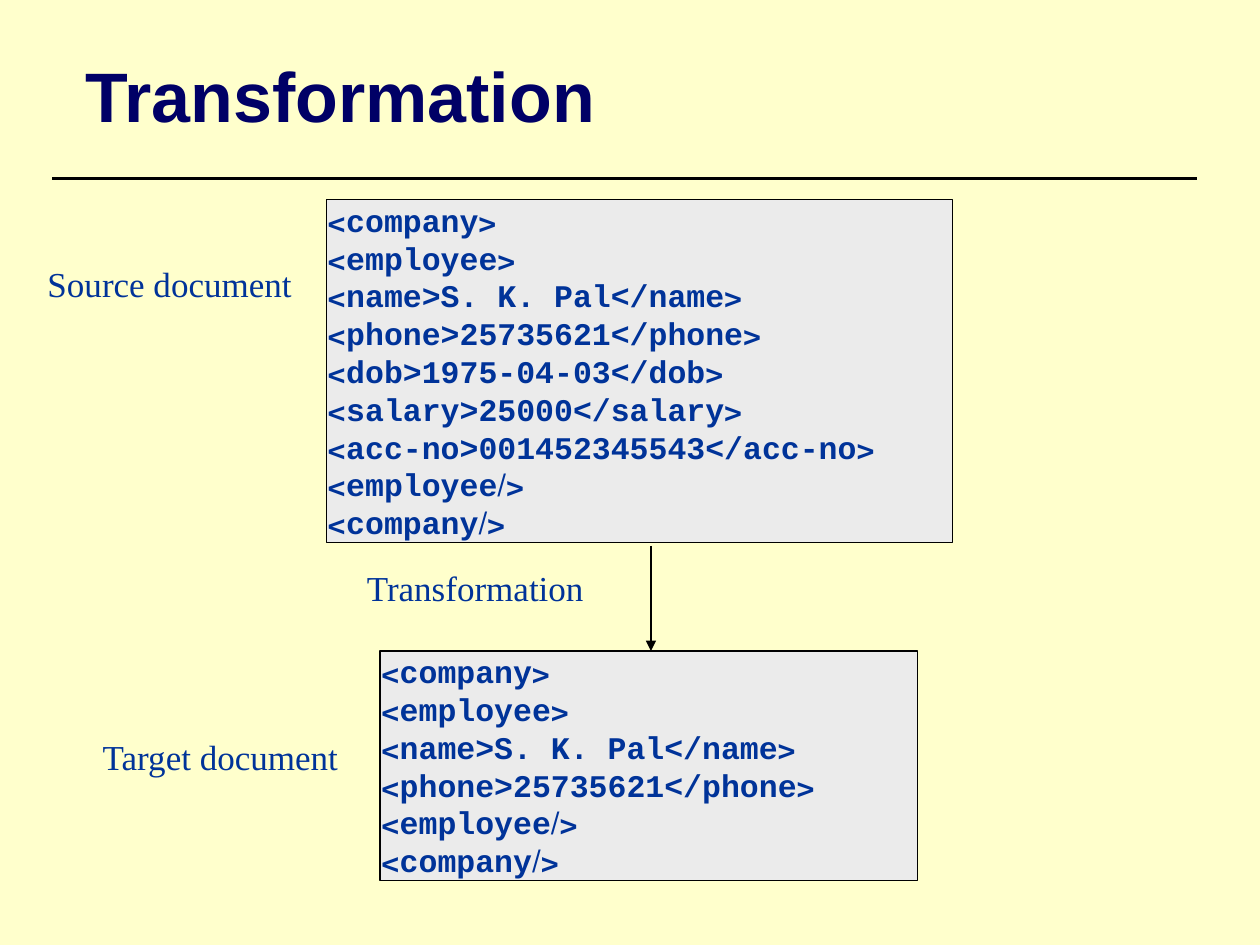
import pptx
import pptx.dml.color
import pptx.enum.shapes
import pptx.enum.text
import pptx.oxml.ns
import pptx.util
from lxml import etree

CELL = pptx.util.Inches(1) // 12  # the slide is 120 columns by 90 rows
INK, NAVY, BLUE, GREY, CREAM = "000000", "000066", "003399", "EBEBEB", "FFFFCC"
ALIGN = pptx.enum.text.PP_ALIGN
ANCHOR = pptx.enum.text.MSO_ANCHOR


def paint(target, color):
    """Give a fill or a font a solid colour."""
    if hasattr(target, "solid"):
        target.solid()
        target.fore_color.rgb = pptx.dml.color.RGBColor.from_string(color)
    else:
        target.color.rgb = pptx.dml.color.RGBColor.from_string(color)


def add_element(parent, tag, **attributes):
    return etree.SubElement(parent, pptx.oxml.ns.qn(tag), **attributes)


deck = pptx.Presentation()
deck.slide_width, deck.slide_height = 120 * CELL, 90 * CELL
page = deck.slides.add_slide(deck.slide_layouts[6])
paint(page.background.fill, CREAM)

# Title and single-line labels
texts = [
    ("Transformation", 7, 2, 106, 14, "Arial", 40, NAVY, ALIGN.LEFT, ANCHOR.MIDDLE, 1.2),
    ("Source document", 4, 25, 23.8, 4, "Times New Roman", 20, BLUE, ALIGN.RIGHT, ANCHOR.TOP, 0),
    ("Target document", 9, 70, 23.2, 4, "Times New Roman", 20, BLUE, ALIGN.RIGHT, ANCHOR.TOP, 0),
    ("Transformation", 34, 54, 21.6, 5, "Times New Roman", 20, BLUE, ALIGN.RIGHT, ANCHOR.TOP, 0),
]
for text, left, top, width, height, font, size, color, align, anchor, inset in texts:
    box = page.shapes.add_textbox(*(int(n * CELL) for n in (left, top, width, height)))
    frame = box.text_frame
    frame.word_wrap = True
    frame.vertical_anchor = anchor
    frame.margin_left = frame.margin_right = int(inset * CELL)
    frame.margin_top = frame.margin_bottom = 0
    para = frame.paragraphs[0]
    para.text = text
    para.alignment = align
    para.font.name, para.font.size = font, pptx.util.Pt(size)
    para.font.bold = font == "Arial"
    paint(para.font, color)

# Rule under the title and arrow between the documents
for x1, y1, x2, y2, weight, has_head in [
    (5, 17, 114, 17, 1.5, False),
    (62, 52, 62, 62, 0.75, True),
]:
    line = page.shapes.add_connector(
        pptx.enum.shapes.MSO_CONNECTOR.STRAIGHT, *(n * CELL for n in (x1, y1, x2, y2)))
    line.line.width = pptx.util.Pt(weight)
    paint(line.line.fill, INK)
    if has_head:
        add_element(line.line._get_or_add_ln(), "a:tailEnd", type="triangle")
    add_element(line._element.spPr, "a:effectLst")

# XML documents, set right to left
source = [
    "<company>",
    "  <employee>",
    "    <name>S. K. Pal</name>",
    "    <phone>25735621</phone>",
    "    <dob>1975-04-03</dob>",
    "    <salary>25000</salary>",
    "    <acc-no>001452345543</acc-no>",
    "  </employee>",
    "</company>",
]
target = source[:4] + source[-2:]
for code, left, top, width in [(source, 31.1, 19, 59.6), (target, 36.2, 62, 51.2)]:
    height = len(code) * 3.6 + 0.24
    box = page.shapes.add_shape(
        pptx.enum.shapes.MSO_SHAPE.RECTANGLE,
        *(int(n * CELL) for n in (left, top, width, height)))
    box.shadow.inherit = False
    paint(box.fill, GREY)
    paint(box.line.fill, INK)
    box.line.width = pptx.util.Pt(0.75)
    frame = box.text_frame
    frame.word_wrap = False
    frame.vertical_anchor = ANCHOR.TOP
    frame.margin_left = frame.margin_right = pptx.util.Inches(0.01)
    frame.margin_top = frame.margin_bottom = pptx.util.Inches(0.01)
    for number, text in enumerate(code):
        para = frame.add_paragraph() if number else frame.paragraphs[0]
        para.text = text
        para.alignment = ALIGN.LEFT
        para.line_spacing = pptx.util.Pt(21.6)
        para._p.get_or_add_pPr().set("rtl", "1")
        para.font.name, para.font.size = "Courier New", pptx.util.Pt(18)
        para.font.bold = True
        paint(para.font, BLUE)

deck.save("out.pptx")
